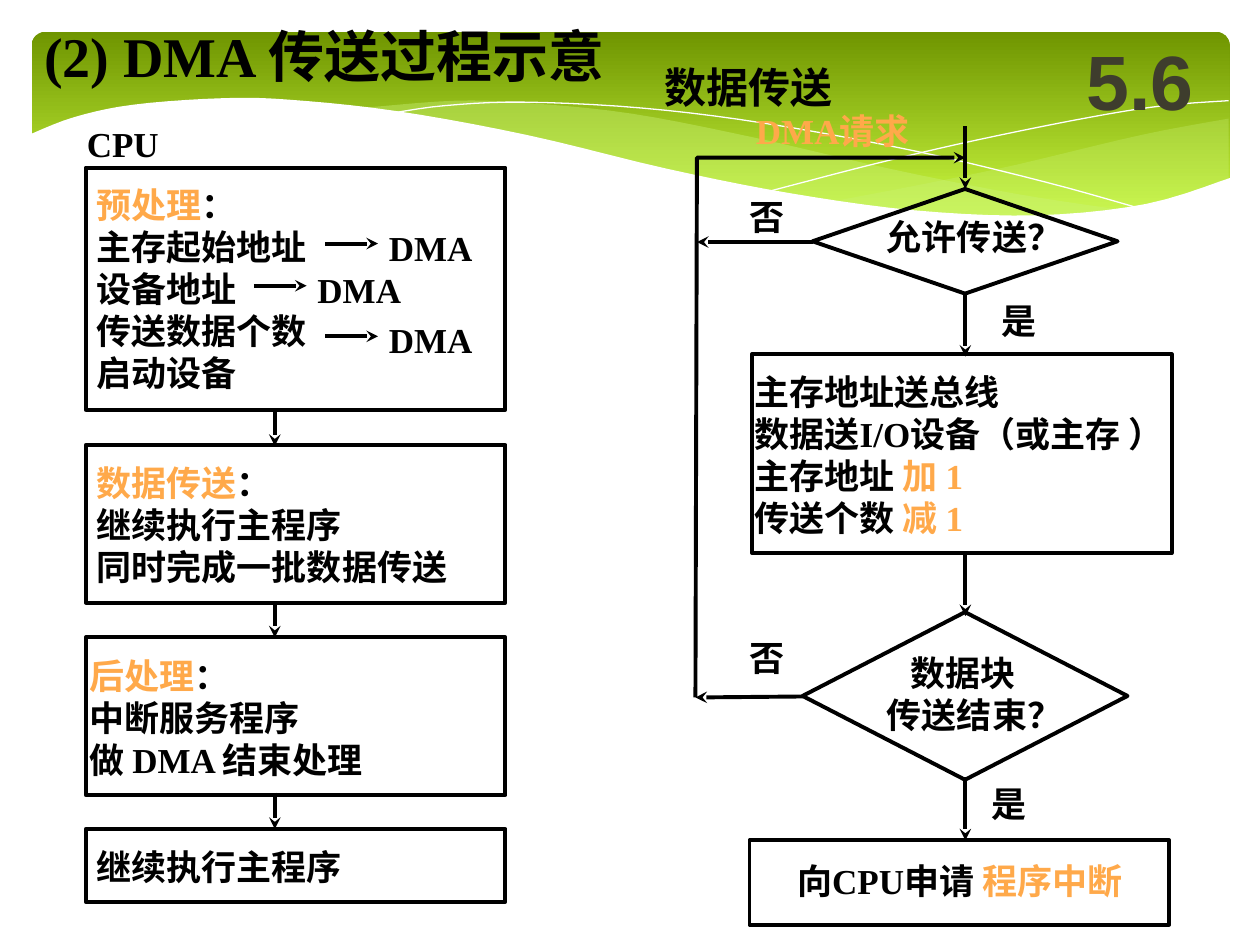
from typing import NamedTuple, Optional

from lxml import etree
from pptx import Presentation
from pptx.dml.color import RGBColor
from pptx.enum.shapes import MSO_CONNECTOR, MSO_SHAPE
from pptx.enum.text import MSO_ANCHOR, MSO_AUTO_SIZE, PP_ALIGN
from pptx.oxml.ns import qn
from pptx.util import Cm, Pt

BLACK, WHITE, ORANGE, PALE_GREEN = "000000", "FFFFFF", "FFA94A", "CAF278"
LINE_WIDTH = 2.25
Point = tuple[float, float]


class Outline(NamedTuple):
    kind: MSO_SHAPE
    left: float
    top: float
    width: float
    height: float


class Label(NamedTuple):
    """Text lines; a part between asterisks takes the accent colour."""
    left: float
    top: float
    width: float
    height: float
    lines: list[str]


class Arrow(NamedTuple):
    start: Point
    end: Point


def color(hex_value: str) -> RGBColor:
    return RGBColor.from_string(hex_value)


def set_line(line, hex_value: Optional[str], width: float = LINE_WIDTH, arrow: bool = False) -> None:
    if hex_value is None:
        line.fill.background()
        return
    line.color.rgb = color(hex_value)
    line.width = Pt(width)
    if arrow:
        etree.SubElement(line._get_or_add_ln(), qn("a:tailEnd"), type="stealth")


def add_text(slide, label: Label, size: float = 20, font: str = "Times New Roman",
             text_color: str = BLACK, wrap: bool = False, grow: bool = True,
             align=PP_ALIGN.LEFT, anchor=MSO_ANCHOR.TOP, first_indent: float = 0) -> None:
    box = slide.shapes.add_textbox(Cm(label.left), Cm(label.top), Cm(label.width), Cm(label.height))
    frame = box.text_frame
    frame.word_wrap = wrap
    frame.auto_size = MSO_AUTO_SIZE.SHAPE_TO_FIT_TEXT if grow else MSO_AUTO_SIZE.NONE
    frame.vertical_anchor = anchor
    for index, line in enumerate(label.lines):
        paragraph = frame.add_paragraph() if index else frame.paragraphs[0]
        paragraph.alignment = align
        if first_indent and index == 0:
            paragraph._p.get_or_add_pPr().set("marL", str(Cm(first_indent)))
        for part, text in enumerate(line.split("*")):
            if not text:
                continue
            run = paragraph.add_run()
            run.text = text
            run.font.name, run.font.size, run.font.bold = font, Pt(size), True
            run.font.color.rgb = color(ORANGE if part % 2 else text_color)


def add_outline(slide, outline: Outline):
    shape = slide.shapes.add_shape(outline.kind, Cm(outline.left), Cm(outline.top),
                                   Cm(outline.width), Cm(outline.height))
    shape.shadow.inherit = False
    shape.fill.background()
    set_line(shape.line, BLACK)
    return shape


def add_arrow(slide, arrow: Arrow) -> None:
    ends = [Cm(value) for value in (*arrow.start, *arrow.end)]
    connector = slide.shapes.add_connector(MSO_CONNECTOR.STRAIGHT, *ends)
    set_line(connector.line, BLACK, arrow=True)
    etree.SubElement(connector._element.spPr, qn("a:effectLst"))


def add_path(slide, points: list[Point], fill: Optional[str] = None, opacity: int = 100,
             line: Optional[str] = None, width: float = LINE_WIDTH, arrow: bool = False) -> None:
    corners = [(Cm(x), Cm(y)) for x, y in points]
    builder = slide.shapes.build_freeform(*corners[0], scale=1.0)
    builder.add_line_segments(corners[1:], close=fill is not None)
    shape = builder.convert_to_shape()
    shape.shadow.inherit = False
    if fill:
        shape.fill.solid()
        shape.fill.fore_color.rgb = color(fill)
        tint = shape._element.spPr.find(qn("a:solidFill"))[0]
        etree.SubElement(tint, qn("a:alpha"), val=str(opacity * 1000))
    else:
        shape.fill.background()
    set_line(shape.line, line, width, arrow)


def smooth(points: list[Point], steps: int = 5) -> list[Point]:
    """Catmull-Rom curve through the points."""
    padded = [points[0], *points, points[-1]]
    curve = []
    for a, b, c, d in zip(padded, padded[1:], padded[2:], padded[3:]):
        for step in range(steps):
            t = step / steps
            curve.append(tuple(
                0.5 * (2 * q + (r - p) * t + (2 * p - 5 * q + 4 * r - s) * t ** 2
                       + (3 * q - p - 3 * r + s) * t ** 3)
                for p, q, r, s in zip(a, b, c, d)))
    return curve + [points[-1]]


def draw_banner(slide) -> None:
    banner = add_outline(slide, Outline(MSO_SHAPE.ROUNDED_RECTANGLE, 0.64, 0.64, 24.15, 3.96))
    banner.adjustments[0] = 0.07
    set_line(banner.line, None)
    banner.fill.gradient()
    banner.fill.gradient_angle = 270
    for stop, position, hex_value in zip(banner.fill.gradient_stops, (0, 1), ("6F9500", "D0FF44")):
        stop.position = position
        stop.color.rgb = color(hex_value)

    right_top = [(24.77, 2.39), (23.01, 2.72), (20.45, 3.33), (18.52, 3.73), (16.79, 4.06)]
    right_bottom = [(16.79, 4.06), (18.59, 4.27), (20.4, 4.37), (21.92, 4.32), (23.39, 4.06), (24.77, 3.61)]
    add_path(slide, smooth(right_top) + smooth(right_bottom), fill=PALE_GREEN, opacity=29)
    band_top = [(22.68, 4.24), (20.5, 3.91), (17.93, 3.4), (15.19, 2.77), (12.73, 2.29),
                (10.67, 2.08), (9.17, 2.03), (7.26, 2.18)]
    band_bottom = [(7.26, 2.18), (9.73, 2.57), (12.47, 3.2), (15.27, 3.81), (17.65, 4.19),
                   (19.94, 4.37), (21.54, 4.37), (22.68, 4.24)]
    add_path(slide, smooth(band_top) + smooth(band_bottom), fill=PALE_GREEN, opacity=40)
    falling = [(7.85, 2.29), (8.97, 2.13), (10.57, 2.06), (12.95, 2.18), (15.44, 2.49),
               (18.47, 3.05), (21.11, 3.68), (23.04, 4.22)]
    rising = [(15.57, 3.84), (17.65, 3.3), (19.71, 2.82), (22, 2.36), (23.47, 2.13), (24.77, 2.03)]
    for curve in (falling, rising):
        add_path(slide, smooth(curve), line=WHITE, width=0)
    wave = [(24.82, 3.58), (23.11, 4.11), (20.9, 4.34), (18.44, 4.24), (15.9, 3.89), (13.44, 3.4),
            (10.62, 2.72), (8, 2.24), (5.84, 2.01), (4.47, 1.98), (2.69, 2.11), (1.5, 2.36), (0.58, 2.72)]
    add_path(slide, smooth(wave) + [(0.58, 5.69), (24.82, 5.69)], fill=WHITE)


def draw_cpu_flow(slide) -> None:
    for top, height in ((3.38, 4.88), (8.97, 3.18), (12.85, 3.18), (16.71, 1.47)):
        add_outline(slide, Outline(MSO_SHAPE.RECTANGLE, 1.73, top, 8.46, height))
    for label in (
        Label(1.5, 2.34, 2.1, 1.12, ["CPU"]),
        Label(1.7, 3.58, 4.9, 4.5, ["*预处理*：", "主存起始地址", "设备地址", "传送数据个数", "启动设备"]),
        Label(1.7, 9.17, 7.7, 2.79, ["*数据传送*：", "继续执行主程序", "同时完成一批数据传送"]),
        Label(1.55, 13.06, 6.6, 2.79, ["*后处理*：", "中断服务程序", "做 DMA 结束处理"]),
        Label(1.7, 16.92, 5.6, 1.12, ["继续执行主程序"]),
    ):
        add_text(slide, label)
    # Parameters handed to DMA
    for left, arrow_top, text_top in ((6.56, 4.91, 4.45), (5.12, 5.76, 5.28), (6.56, 6.78, 6.3)):
        add_arrow(slide, Arrow((left, arrow_top), (left + 1.06, arrow_top)))
        add_text(slide, Label(left + 1.03, text_top, 2.4, 1.12, ["DMA"]))
    for top in (8.26, 12.12, 15.98):
        add_arrow(slide, Arrow((5.54, top), (5.54, top + 0.73)))


def draw_transfer_flow(slide) -> None:
    for outline in (
        Outline(MSO_SHAPE.DIAMOND, 16.38, 3.81, 6.15, 2.11),
        Outline(MSO_SHAPE.RECTANGLE, 15.16, 7.14, 8.46, 4.01),
        Outline(MSO_SHAPE.DIAMOND, 16.18, 12.34, 6.55, 3.38),
        Outline(MSO_SHAPE.RECTANGLE, 15.11, 16.94, 8.46, 1.7),
    ):
        add_outline(slide, outline)
    for label in (
        Label(17.63, 4.22, 4.2, 1.12, ["允许传送？"]),
        Label(14.96, 7.34, 9.25, 3.66,
              ["主存地址送总线", "数据送I/O设备（或主存 ）", "主存地址 *加 1*", "传送个数 *减 1*"]),
        Label(15.82, 17.2, 7.7, 1.12, ["向CPU申请 *程序中断*"]),
        Label(14.99, 2.08, 4, 1.12, ["*DMA请求*"]),
        Label(14.86, 3.81, 1.3, 1.12, ["否"]),
        Label(14.86, 12.7, 1.3, 1.12, ["否"]),
        Label(19.94, 5.92, 1.3, 1.12, ["是"]),
        Label(19.74, 15.65, 1.3, 1.12, ["是"]),
    ):
        add_text(slide, label)
    add_text(slide, Label(17.63, 13, 4.2, 1.96, ["数据块", "传送结束？"]), first_indent=0.48)
    add_text(slide, Label(13.15, 1.12, 4.05, 1.27, ["数据传送"]), size=24)
    for top in (2.54, 5.92, 11.15, 15.67):
        add_arrow(slide, Arrow((19.46, top), (19.46, top + 1.27)))
    # Loop back to the request
    add_arrow(slide, Arrow((16.38, 4.88), (14.05, 4.88)))
    add_arrow(slide, Arrow((16.2, 14.04), (14.02, 14.06)))
    add_path(slide, [(14.02, 14.06), (14.05, 3.18), (19.46, 3.18)], line=BLACK, arrow=True)


def main() -> None:
    presentation = Presentation()
    presentation.slide_width, presentation.slide_height = Cm(25.4), Cm(19.05)
    slide = presentation.slides.add_slide(presentation.slide_layouts[6])
    draw_banner(slide)
    draw_cpu_flow(slide)
    draw_transfer_flow(slide)
    # Title and section number
    add_text(slide, Label(0.64, 0.3, 12.9, 1.63, ["(2) DMA 传送过程示意"]), size=32, wrap=True)
    add_text(slide, Label(21.39, 0.43, 3.18, 2.34, ["5.6"]), size=44, font="Arial", text_color="3E3D2D",
             wrap=True, grow=False, align=PP_ALIGN.CENTER, anchor=MSO_ANCHOR.MIDDLE)
    presentation.save("out.pptx")


if __name__ == "__main__":
    main()
